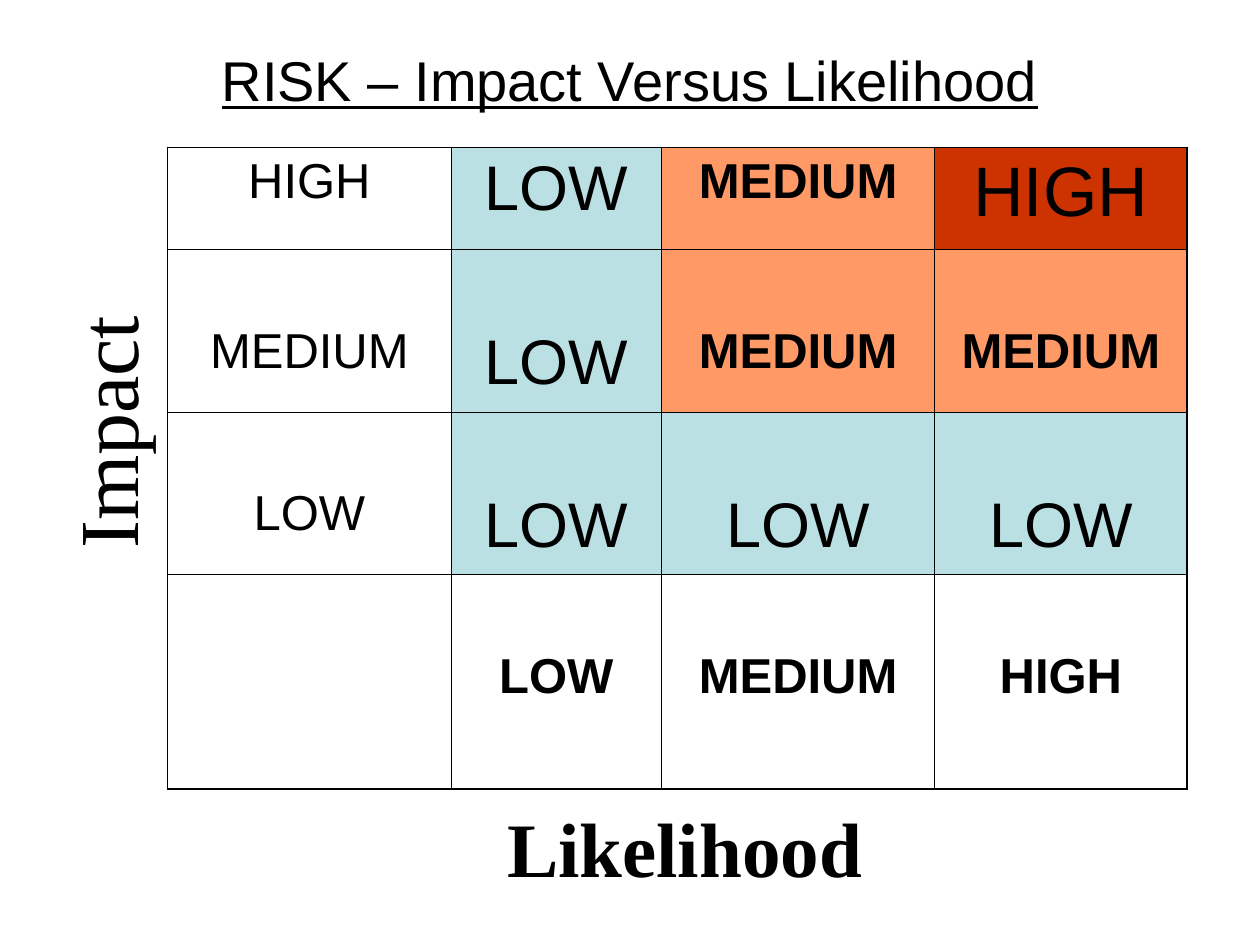
from lxml import etree
from pptx import Presentation
from pptx.dml.color import RGBColor
from pptx.enum import text
from pptx.oxml import ns
from pptx.util import Inches, Pt

COLORS = {"ink": "000000", "low": "BBE0E3", "medium": "FF9966", "high": "CC3300"}
TITLE = "RISK – Impact Versus Likelihood"

# Cell styles: size, bold, fill
HEADING = (28, False, None)
FOOTING = (28, True, None)
LOW = (36, False, "low")
MEDIUM = (28, True, "medium")
HIGH = (40, False, "high")

RISKS = [
    [("HIGH", HEADING), ("LOW", LOW), ("MEDIUM", MEDIUM), ("HIGH", HIGH)],
    [("MEDIUM", HEADING), ("LOW", LOW), ("MEDIUM", MEDIUM), ("MEDIUM", MEDIUM)],
    [("LOW", HEADING), ("LOW", LOW), ("LOW", LOW), ("LOW", LOW)],
    [("", HEADING), ("LOW", FOOTING), ("MEDIUM", FOOTING), ("HIGH", FOOTING)],
]
COLUMN_WIDTHS = [2.25, 1.67, 2.17, 2]
ROW_HEIGHTS = [0.81, 1.29, 1.29, 1.7]
TOP_MARGIN = 0.05
OUTER, INNER = 1.08, 0.45


def rgb(name):
    return RGBColor.from_string(COLORS[name])


def write(frame, words, size, face="Arial", bold=False, underline=False):
    frame.text = words
    paragraph = frame.paragraphs[0]
    paragraph.alignment = text.PP_ALIGN.CENTER
    font = paragraph.font
    font.name, font.size = face, Pt(size)
    font.bold, font.underline = bold, underline
    font.color.rgb = rgb("ink")


def add_borders(cell, widths):
    """Draw the left, right, top and bottom borders, in that order."""
    properties = cell._tc.get_or_add_tcPr()
    for side, width in zip("LRTB", widths):
        line = etree.SubElement(properties, ns.qn(f"a:ln{side}"), w=str(Pt(width)))
        fill = etree.SubElement(line, ns.qn("a:solidFill"))
        etree.SubElement(fill, ns.qn("a:srgbClr"), val=COLORS["ink"])


def add_axis_label(slide, words, box, size, bold=False):
    frame = slide.shapes.add_textbox(*map(Inches, box)).text_frame
    frame.word_wrap = True
    write(frame, words, size, "Times New Roman", bold)
    return frame


def add_matrix(slide):
    last_row, last_column = len(ROW_HEIGHTS) - 1, len(COLUMN_WIDTHS) - 1
    matrix = slide.shapes.add_table(
        len(ROW_HEIGHTS), len(COLUMN_WIDTHS), Inches(1.33), Inches(1.17),
        Inches(sum(COLUMN_WIDTHS)), Inches(sum(ROW_HEIGHTS))).table
    matrix.first_row = matrix.horz_banding = False
    for column, width in zip(matrix.columns, COLUMN_WIDTHS):
        column.width = Inches(width)
    for row, height in zip(matrix.rows, ROW_HEIGHTS):
        row.height = Inches(height)

    for r, risks in enumerate(RISKS):
        for c, (words, (size, bold, fill)) in enumerate(risks):
            cell = matrix.cell(r, c)
            edges = (c == 0, c == last_column, r == 0, r == last_row)
            add_borders(cell, [OUTER if edge else INNER for edge in edges])
            if fill:
                cell.fill.solid()
                cell.fill.fore_color.rgb = rgb(fill)
            else:
                cell.fill.background()
            # Below the first row, words sit lower; larger ones a little more
            drop = 0 if r == 0 else 0.57 if size == 36 else 0.54
            cell.margin_top = Inches(TOP_MARGIN + drop)
            if words:
                write(cell.text_frame, words, size, bold=bold)


def main():
    deck = Presentation()
    deck.slide_width, deck.slide_height = Inches(10), Inches(7.5)
    slide = deck.slides.add_slide(deck.slide_layouts[5])

    title = slide.shapes.title
    title.left, title.top = Inches(0.75), Inches(0)
    title.width, title.height = Inches(8.5), Inches(1.25)
    title.text_frame.vertical_anchor = text.MSO_ANCHOR.MIDDLE
    write(title.text_frame, TITLE, 32, underline=True)

    add_matrix(slide)

    impact = add_axis_label(slide, "Impact", (0.33, 2.17, 1, 2.52), 48)
    impact.vertical_anchor = text.MSO_ANCHOR.MIDDLE
    impact._txBody.bodyPr.set("vert", "vert270")

    likelihood = add_axis_label(slide, "Likelihood", (2.77, 6.23, 5.33, 0.84), 44, True)
    likelihood.margin_top, likelihood.margin_bottom = Inches(0.12), 0

    deck.save("out.pptx")


if __name__ == "__main__":
    main()
